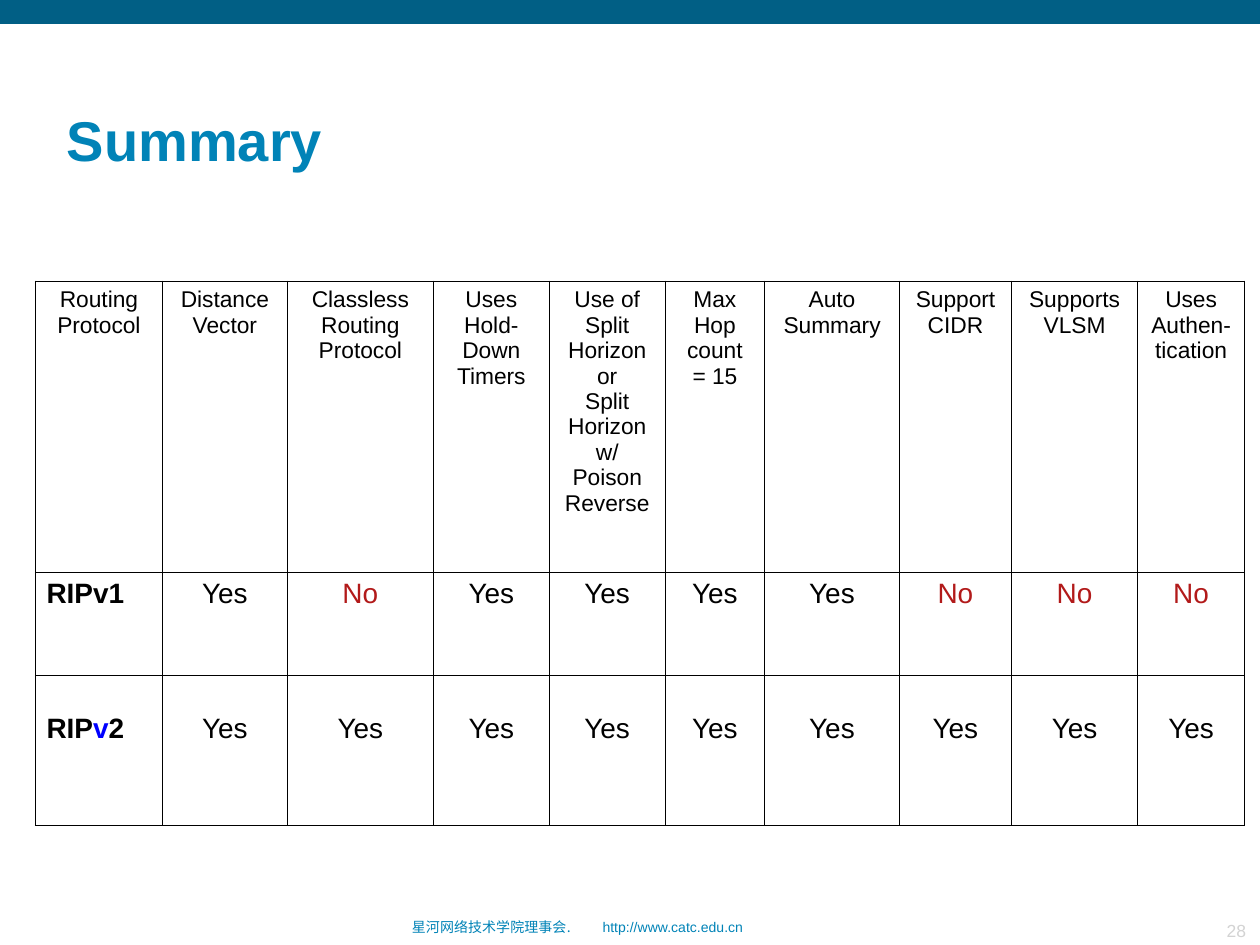
from lxml import etree
from pptx import Presentation
from pptx.dml.color import RGBColor
from pptx.enum.shapes import MSO_SHAPE
from pptx.enum.text import MSO_ANCHOR, PP_ALIGN
from pptx.oxml.ns import qn
from pptx.util import Inches, Pt

LEFT, CENTER, RIGHT = PP_ALIGN.LEFT, PP_ALIGN.CENTER, PP_ALIGN.RIGHT
BLACK, BLUE, RED, TEAL = "000000", "0000FF", "B21A1A", "0183B7"
LATIN, CHINESE = "Arial", "Noto Sans CJK SC"

# text, (left, top, width, height), size, colour, font, alignment
FOOTERS = [
    ("28", (9.17, 7.25, 0.81, 0.26), 10, "D3D3D3", LATIN, RIGHT),
    ("星河网络技术学院理事会.", (3.18, 7.24, 1.5, 0.22), 8, TEAL, CHINESE, LEFT),
    ("http://www.catc.edu.cn", (4.69, 7.24, 1.3, 0.22), 8, TEAL, LATIN, RIGHT),
]

# column width, heading lines, RIPv1 answer, RIPv2 answer
FEATURES = [
    (0.99, ["Distance", "Vector"], "Yes", "Yes"),
    (1.16, ["Classless", "Routing", "Protocol"], "No", "Yes"),
    (0.92, ["Uses", "Hold-Down", "Timers"], "Yes", "Yes"),
    (0.92, ["Use of", "Split Horizon or", "Split Horizon w/", "Poison Reverse"], "Yes", "Yes"),
    (0.79, ["Max", "Hop count", "= 15"], "Yes", "Yes"),
    (1.07, ["Auto", "Summary"], "Yes", "Yes"),
    (0.89, ["Support", "CIDR"], "No", "Yes"),
    (1.0, ["Supports", "VLSM"], "No", "Yes"),
    (0.85, ["Uses Authen-tication"], "No", "Yes"),
]
PROTOCOL_WIDTH = 1.01
PROTOCOL_HEADING = ["Routing", "Protocol"]
PROTOCOL_NAMES = [
    [("RIPv1", BLACK)],
    [("RIP", BLACK), ("v", BLUE), ("2", BLACK)],
]
TABLE_LEFT, TABLE_TOP = 0.28, 2.23
ROW_HEIGHTS = [2.31, 0.82, 1.19]
ROW_TOP_MARGINS = [0.05, 0.05, 0.3]
HEADING_SIZE, BODY_SIZE = 13, 16


def rgb(colour):
    return RGBColor.from_string(colour)


def add_run(paragraph, text, size, colour, bold=False, font=LATIN):
    run = paragraph.add_run()
    run.text = text
    run.font.size = Pt(size)
    run.font.bold = bold
    run.font.name = font
    run.font.color.rgb = rgb(colour)
    if font == CHINESE:
        etree.SubElement(run.font._element, qn("a:ea"), typeface=font)


def add_text(slide, text, box, size, colour, font, alignment, bold=False, wrap=False):
    shape = slide.shapes.add_textbox(*map(Inches, box))
    frame = shape.text_frame
    frame.word_wrap = wrap
    frame.vertical_anchor = MSO_ANCHOR.BOTTOM
    frame.margin_left = frame.margin_right = Inches(0.09)
    frame.margin_top = frame.margin_bottom = Inches(0.04)
    paragraph = frame.paragraphs[0]
    paragraph.alignment = alignment
    add_run(paragraph, text, size, colour, bold, font)
    return paragraph


def style_cell(cell, top_margin):
    """Give the cell thin black borders, no fill and its margins."""
    cell.margin_left = cell.margin_right = Inches(0.09)
    cell.margin_top, cell.margin_bottom = Inches(top_margin), Inches(0.05)
    properties = cell._tc.get_or_add_tcPr()
    for side in ("a:lnL", "a:lnR", "a:lnT", "a:lnB"):
        border = etree.SubElement(properties, qn(side), w=str(Pt(0.45)))
        fill = etree.SubElement(border, qn("a:solidFill"))
        etree.SubElement(fill, qn("a:srgbClr"), val=BLACK)
    cell.fill.background()


def fill_cell(cell, lines, size, alignment=CENTER, bold=False):
    """Write one paragraph per line; a line is a list of (text, colour)."""
    frame = cell.text_frame
    for index, line in enumerate(lines):
        paragraph = frame.add_paragraph() if index else frame.paragraphs[0]
        paragraph.alignment = alignment
        for text, colour in line:
            add_run(paragraph, text, size, colour, bold)


def add_comparison_table(slide):
    widths = [PROTOCOL_WIDTH] + [feature[0] for feature in FEATURES]
    table = slide.shapes.add_table(
        len(ROW_HEIGHTS), len(widths), Inches(TABLE_LEFT), Inches(TABLE_TOP),
        Inches(sum(widths)), Inches(sum(ROW_HEIGHTS))).table
    table.first_row = table.horz_banding = False
    for column, width in zip(table.columns, widths):
        column.width = Inches(width)
    for row, height, top_margin in zip(table.rows, ROW_HEIGHTS, ROW_TOP_MARGINS):
        row.height = Inches(height)
        for cell in row.cells:
            style_cell(cell, top_margin)

    headings = [PROTOCOL_HEADING] + [feature[1] for feature in FEATURES]
    for column, heading in enumerate(headings):
        fill_cell(table.cell(0, column), [[(text, BLACK)] for text in heading], HEADING_SIZE)
    for row, name in enumerate(PROTOCOL_NAMES, start=1):
        fill_cell(table.cell(row, 0), [name], BODY_SIZE, LEFT, bold=True)
        for column, feature in enumerate(FEATURES, start=1):
            answer = feature[row + 1]
            colour = RED if answer == "No" else BLACK
            fill_cell(table.cell(row, column), [[(answer, colour)]], BODY_SIZE)


def main():
    presentation = Presentation()
    presentation.slide_width, presentation.slide_height = Inches(10), Inches(7.5)
    slide = presentation.slides.add_slide(presentation.slide_layouts[6])

    banner = slide.shapes.add_shape(MSO_SHAPE.RECTANGLE, 0, 0, Inches(10), Inches(0.19))
    banner.shadow.inherit = False
    banner.fill.solid()
    banner.fill.fore_color.rgb = rgb("015F85")
    banner.line.fill.background()

    for footer in FOOTERS:
        add_text(slide, *footer)
    title = add_text(slide, "Summary", (0.44, 0.5, 8.91, 0.92), 32, TEAL, LATIN, LEFT,
                     bold=True, wrap=True)
    title.line_spacing = 0.9
    add_comparison_table(slide)
    presentation.save("out.pptx")


if __name__ == "__main__":
    main()
